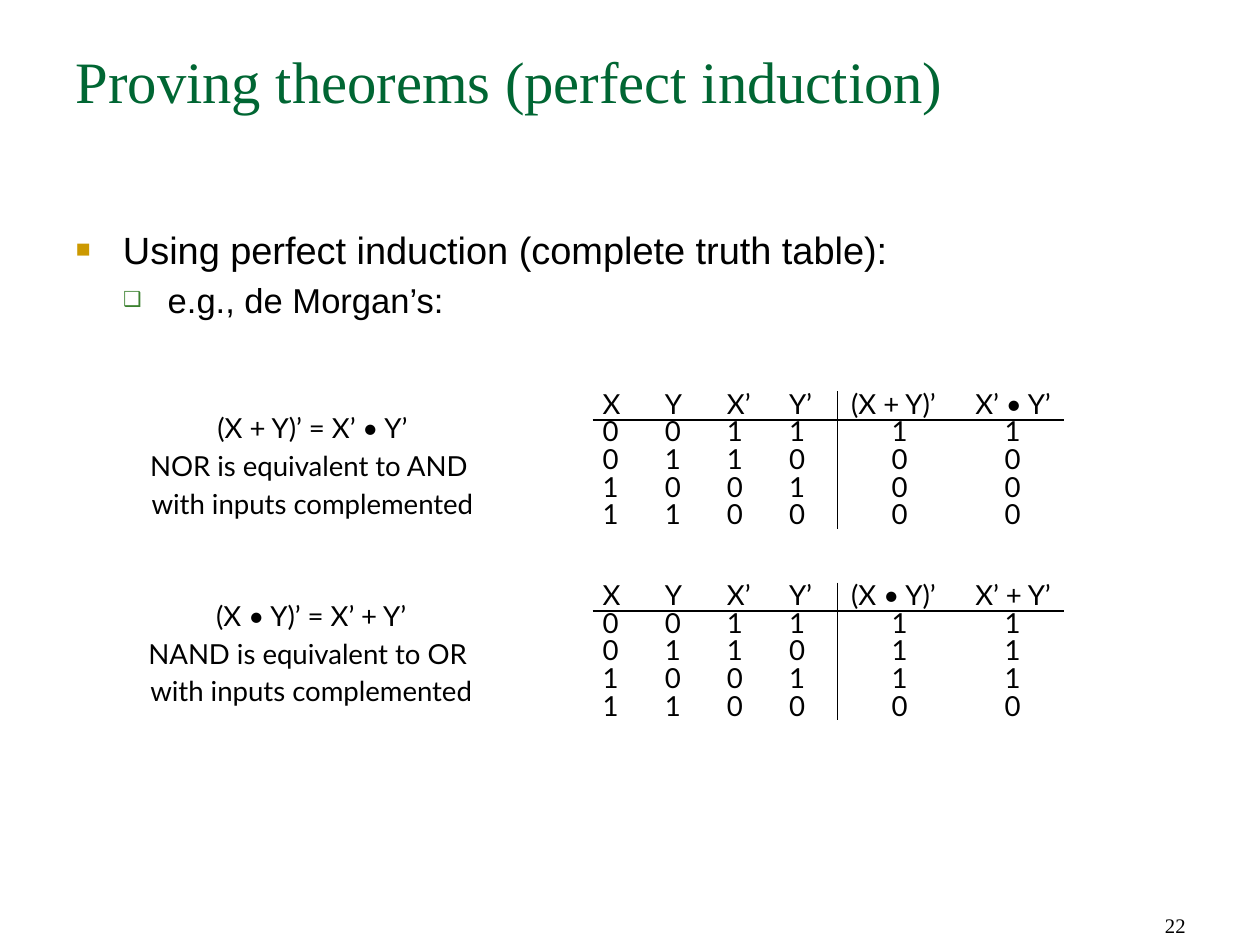
from lxml import etree
from pptx import Presentation
from pptx.dml.color import RGBColor
from pptx.enum.shapes import MSO_CONNECTOR
from pptx.enum.text import MSO_ANCHOR, MSO_AUTO_SIZE, PP_ALIGN
from pptx.oxml.ns import qn
from pptx.util import Pt

LEFT, CENTER, RIGHT = PP_ALIGN.LEFT, PP_ALIGN.CENTER, PP_ALIGN.RIGHT
TOP, BOTTOM = MSO_ANCHOR.TOP, MSO_ANCHOR.BOTTOM
STRAIGHT, NO_FIT = MSO_CONNECTOR.STRAIGHT, MSO_AUTO_SIZE.NONE
SCALE = 9144  # EMU per px, 100 px to the inch
PLAIN_TABLE = "{2D5ABB26-0587-4C30-8999-92F81FD0307C}"
COLORS = {"text": "000000", "title": "006633", "square": "CC9900", "checkbox": "3B812F"}


def px(*lengths):
    return [length * SCALE for length in lengths]


def style(para, font, size, color="text", align=LEFT):
    para.alignment = align
    para.font.name = font
    para.font.size = Pt(size)
    para.font.color.rgb = RGBColor.from_string(COLORS[color])


deck = Presentation()
deck.slide_width, deck.slide_height = px(1014, 760)
page = deck.slides.add_slide(deck.slide_layouts[1])

# Title
title = page.shapes.title
title.left, title.top, title.width, title.height = px(51, 31, 912, 126)
title.text_frame.text = "Proving theorems (perfect induction)"
title.text_frame.vertical_anchor = TOP
title.text_frame.auto_size = NO_FIT
style(title.text_frame.paragraphs[0], "Times New Roman", 34, "title")

# Bulleted list: text, level, margin, hanging indent, bullet, colour, percent, size, space before
items = [
    ("Using perfect induction (complete truth table):", 0, 38, 38, "■", "square", 65, 22, 0),
    ("e.g., de Morgan’s:", 1, 74, 36, "❑", "checkbox", 60, 20, 4),
]
body = page.placeholders[1]
body.left, body.top, body.width, body.height = px(51, 177, 912, 502)
body.text_frame.text = "\n".join(item[0] for item in items)
body.text_frame.auto_size = NO_FIT
for para, item in zip(body.text_frame.paragraphs, items):
    _, level, margin, hanging, bullet, color, percent, size, before = item
    para.level = level
    para.space_before = Pt(before)
    props = para._p.get_or_add_pPr()
    props.set("marL", str(margin * SCALE))
    props.set("indent", str(-hanging * SCALE))
    bullet_color = etree.SubElement(props, qn("a:buClr"))
    etree.SubElement(bullet_color, qn("a:srgbClr"), val=COLORS[color])
    etree.SubElement(props, qn("a:buSzPct"), val=str(percent * 1000))
    etree.SubElement(props, qn("a:buChar"), char=bullet)
    style(para, "Arial", size)

# Each law: statement on the left, truth table on the right
inputs = ["0011", "0101", "1100", "1010"]
laws = [
    (76, 324, "(X + Y)’ = X’ • Y’\vNOR is equivalent to AND \vwith inputs complemented",
     315, ["(X + Y)’", "X’ • Y’"], "1000"),
    (75, 475, "(X • Y)’ = X’ + Y’\vNAND is equivalent to OR \vwith inputs complemented",
     469, ["(X • Y)’", "X’ + Y’"], "1110"),
]
column_widths = [50, 50, 50, 47, 100, 82]
table_left, table_width, table_height = 477, sum(column_widths), 111
divider = table_left + sum(column_widths[:4])

for left, top, statement, rule_top, results, outcome in laws:
    box = page.shapes.add_textbox(*px(left, top, 351, 133))
    frame = box.text_frame
    frame.margin_left, frame.margin_top, frame.margin_right, frame.margin_bottom = px(2, 3, 2, 3)
    frame.word_wrap = False
    frame.text = statement
    frame.paragraphs[0].line_spacing = Pt(22)
    style(frame.paragraphs[0], "Lato", 16, align=CENTER)

    # Truth table
    headers = ["X", "Y", "X’", "Y’"] + results
    rows = [headers] + list(zip(*inputs, outcome, outcome))
    table = page.shapes.add_table(
        len(rows), len(headers), *px(table_left, rule_top + 1, table_width, table_height)).table
    table.first_row = table.horz_banding = False
    table._tbl.tblPr.find(qn("a:tableStyleId")).text = PLAIN_TABLE
    for column, width in zip(table.columns, column_widths):
        column.width = width * SCALE
    for row_index, values in enumerate(rows):
        table.rows[row_index].height = table_height * SCALE // len(rows)
        for column_index, value in enumerate(values):
            is_result = column_index >= 4
            centered = is_result and row_index > 0
            cell = table.cell(row_index, column_index)
            cell.fill.background()
            cell.margin_top = cell.margin_bottom = cell.margin_right = 0
            cell.margin_left = 0 if centered else (11 if is_result else 8) * SCALE
            cell.text = value
            para = cell.text_frame.paragraphs[0]
            para.line_spacing = Pt(16)
            style(para, "Lato", 16, align=CENTER if centered else LEFT)

    # Rules under the header and before the results
    header_bottom = rule_top + 23
    for ends in [(table_left, header_bottom, table_left + table_width, header_bottom),
                 (divider, rule_top, divider, rule_top + table_height)]:
        rule = page.shapes.add_connector(STRAIGHT, *px(*ends))
        rule.line.color.rgb = RGBColor.from_string(COLORS["text"])
        rule.line.width = Pt(1)
        etree.SubElement(rule._element.spPr, qn("a:effectLst"))

# Page number
number = page.shapes.add_textbox(*px(727, 709, 237, 51))
number.text_frame.word_wrap = True
number.text_frame.vertical_anchor = BOTTOM
number.text_frame.text = "22"
style(number.text_frame.paragraphs[0], "Times New Roman", 12, align=RIGHT)

deck.save("out.pptx")
